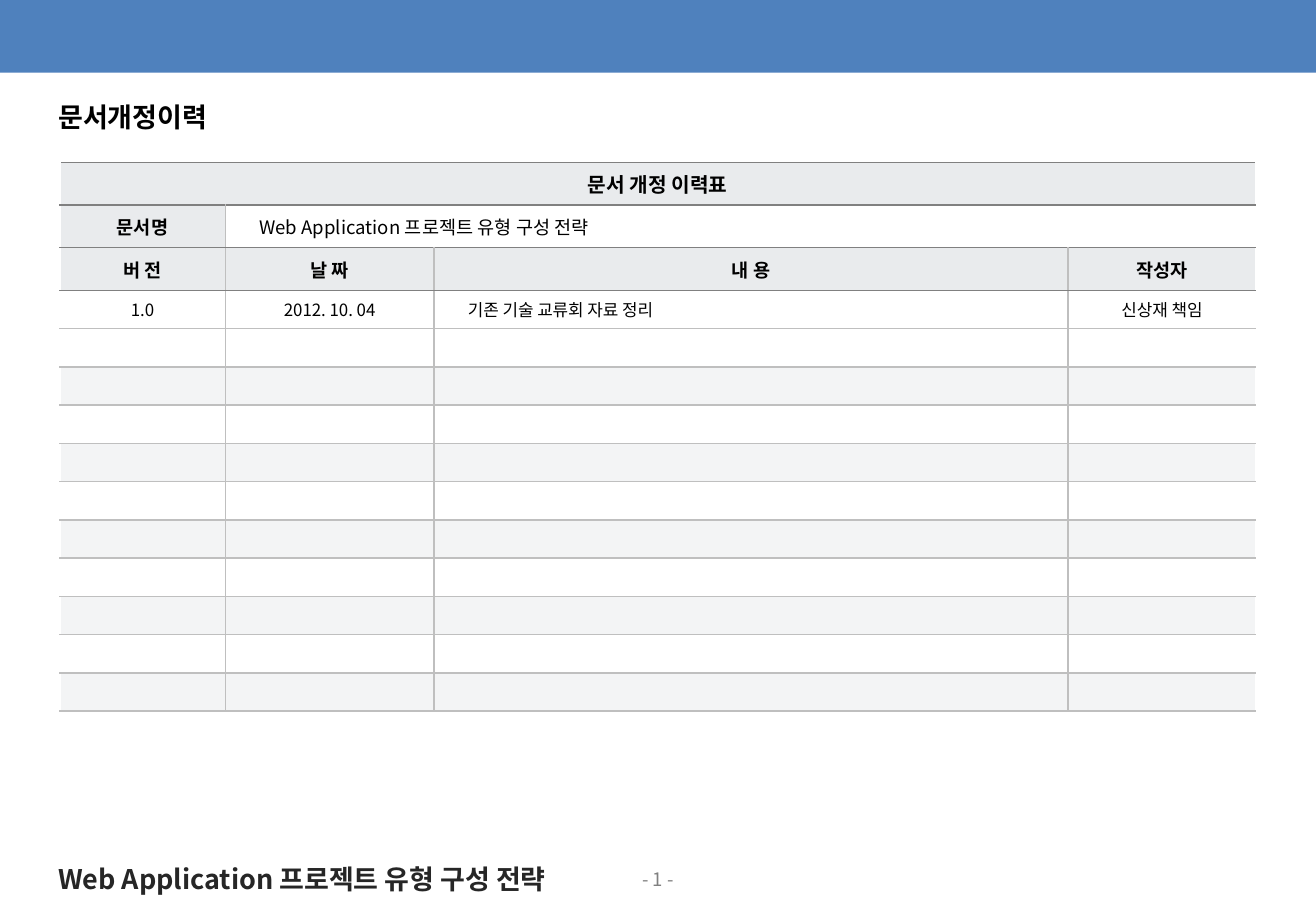
"""Build the document revision history slide."""
from typing import NamedTuple

from lxml import etree
from pptx import Presentation
from pptx import util as u
from pptx.dml.color import RGBColor
from pptx.enum import shapes, text
from pptx.oxml import ns

FONT = "Noto Sans CJK KR"
BLACK = RGBColor(0x00, 0x00, 0x00)
CHARCOAL = RGBColor(0x26, 0x26, 0x26)
GRAY = RGBColor(0x80, 0x80, 0x80)
SILVER = RGBColor(0xBF, 0xBF, 0xBF)
WHITE = RGBColor(0xFF, 0xFF, 0xFF)
BLUE = RGBColor(0x4F, 0x81, 0xBD)
HEADER_FILL = RGBColor(0xE9, 0xEB, 0xED)
BAND_FILL = RGBColor(0xF3, 0xF4, 0xF5)

CENTER, LEFT = text.PP_ALIGN.CENTER, text.PP_ALIGN.LEFT
PROJECT = "Web Application 프로젝트 유형 구성 전략"
COLUMN_WIDTHS = (3.46, 4.36, 13.26, 3.92)
HEADER_ROWS, BODY_ROWS = 3, 11
HEADER_HEIGHT, BODY_HEIGHT = 0.89, 0.8


class Caption(NamedTuple):
    """Free-standing text and its box in centimetres."""

    words: str
    left: float
    top: float
    width: float
    height: float
    size: float
    color: RGBColor
    bold: bool = True
    align: text.PP_ALIGN = LEFT
    wrap: bool = False


class Entry(NamedTuple):
    """Filled-in cell of the revision table."""

    words: str
    size: float
    bold: bool = False
    align: text.PP_ALIGN = CENTER
    inset: float = 0.15
    span: int = 1
    fill: RGBColor | None = None


def heading(words: str, size: float = 11, span: int = 1) -> Entry:
    """Return a bold entry on the header fill."""
    return Entry(words, size, bold=True, span=span, fill=HEADER_FILL)


CAPTIONS = (
    Caption("- 1 -", 0, 18.03, 27.51, 0.74, 11, GRAY, False, CENTER, True),
    Caption(PROJECT, 0.97, 17.91, 11.53, 0.94, 16, CHARCOAL),
    Caption("문서개정이력", 0.97, 1.98, 3.94, 0.94, 16, BLACK),
)
ENTRIES = {
    (0, 0): heading("문서 개정 이력표", 12, 4),
    (1, 0): heading("문서명"),
    (1, 1): Entry(PROJECT, 11, align=LEFT, inset=0.71, span=3),
    (2, 0): heading("버 전"),
    (2, 1): heading("날 짜"),
    (2, 2): heading("내 용"),
    (2, 3): heading("작성자"),
    (3, 0): Entry("1.0", 10),
    (3, 1): Entry("2012. 10. 04", 10),
    (3, 2): Entry("기존 기술 교류회 자료 정리", 10, align=LEFT, inset=0.71),
    (3, 3): Entry("신상재 책임", 10),
}


def apply(target, formats: dict) -> None:
    """Set every format value on the target."""
    for name, value in formats.items():
        setattr(target, name, value)


def write(paragraph, words: str, size: float, color: RGBColor, bold: bool, align) -> None:
    """Write one formatted run into a paragraph."""
    paragraph.alignment = align
    run = paragraph.add_run()
    run.text = words
    apply(run.font, {"size": u.Pt(size), "bold": bold, "name": FONT})
    run.font.color.rgb = color
    etree.SubElement(run.font._element, ns.qn("a:ea"), typeface=FONT)


def draw_banner(slide) -> None:
    """Draw the blue band across the top."""
    banner = slide.shapes.add_shape(shapes.MSO_SHAPE.RECTANGLE, 0, 0, u.Cm(27.51), u.Cm(1.52))
    banner.shadow.inherit = False
    banner.fill.solid()
    banner.fill.fore_color.rgb = BLUE
    banner.line.fill.background()


def draw_caption(slide, caption: Caption) -> None:
    """Draw one free-standing text."""
    box = (u.Cm(length) for length in caption[1:5])
    frame = slide.shapes.add_textbox(*box).text_frame
    frame.word_wrap = caption.wrap
    write(frame.paragraphs[0], caption.words, caption.size, caption.color,
          caption.bold, caption.align)


def draw_borders(cell, row: int, column: int, span: int) -> None:
    """Rule a cell: white outer sides, gray header rules, silver elsewhere."""
    sides = {
        "L": WHITE if column == 0 else SILVER,
        "R": WHITE if column + span == len(COLUMN_WIDTHS) else SILVER,
        "T": GRAY if row <= HEADER_ROWS else SILVER,
        "B": GRAY if row < HEADER_ROWS else SILVER,
    }
    properties = cell._tc.get_or_add_tcPr()
    for side, color in sides.items():
        border = etree.SubElement(properties, ns.qn(f"a:ln{side}"), w=str(u.Pt(1)))
        fill = etree.SubElement(border, ns.qn("a:solidFill"))
        etree.SubElement(fill, ns.qn("a:srgbClr"), val=str(color))


def draw_cell(cell, row: int, column: int) -> None:
    """Format one table cell and write its entry."""
    entry = ENTRIES.get((row, column), Entry("", 10))
    apply(cell, {
        "margin_left": u.Cm(entry.inset), "margin_right": u.Cm(0.15),
        "margin_top": u.Cm(0.08), "margin_bottom": u.Cm(0.08),
        "vertical_anchor": text.MSO_ANCHOR.MIDDLE,
    })
    draw_borders(cell, row, column, entry.span)
    banded = row > HEADER_ROWS and row % 2 == 1
    color = BAND_FILL if banded else entry.fill
    if color is None:
        cell.fill.background()
    else:
        cell.fill.solid()
        cell.fill.fore_color.rgb = color
    paragraph = cell.text_frame.paragraphs[0]
    if entry.words:
        write(paragraph, entry.words, entry.size, BLACK, entry.bold, entry.align)
    else:
        etree.SubElement(paragraph._p, ns.qn("a:endParaRPr"), sz=str(entry.size * 100))


def draw_history(slide) -> None:
    """Draw the revision history table."""
    heights = [HEADER_HEIGHT] * HEADER_ROWS + [BODY_HEIGHT] * BODY_ROWS
    table = slide.shapes.add_table(
        len(heights), len(COLUMN_WIDTHS), u.Cm(1.25), u.Cm(3.4),
        u.Cm(sum(COLUMN_WIDTHS)), u.Cm(sum(heights))).table
    apply(table, {"first_row": False, "horz_banding": False})
    for column, width in zip(table.columns, COLUMN_WIDTHS):
        column.width = u.Cm(width)
    for row, height in zip(table.rows, heights):
        row.height = u.Cm(height)
    for (row, column), entry in ENTRIES.items():
        if entry.span > 1:
            table.cell(row, column).merge(table.cell(row, column + entry.span - 1))
    for row in range(len(heights)):
        for column in range(len(COLUMN_WIDTHS)):
            draw_cell(table.cell(row, column), row, column)


def main() -> None:
    """Assemble and save the slide."""
    deck = Presentation()
    apply(deck, {"slide_width": u.Cm(27.51), "slide_height": u.Cm(19.05)})
    slide = deck.slides.add_slide(deck.slide_layouts[6])
    draw_banner(slide)
    draw_history(slide)
    for caption in CAPTIONS:
        draw_caption(slide, caption)
    deck.save("out.pptx")


main()
